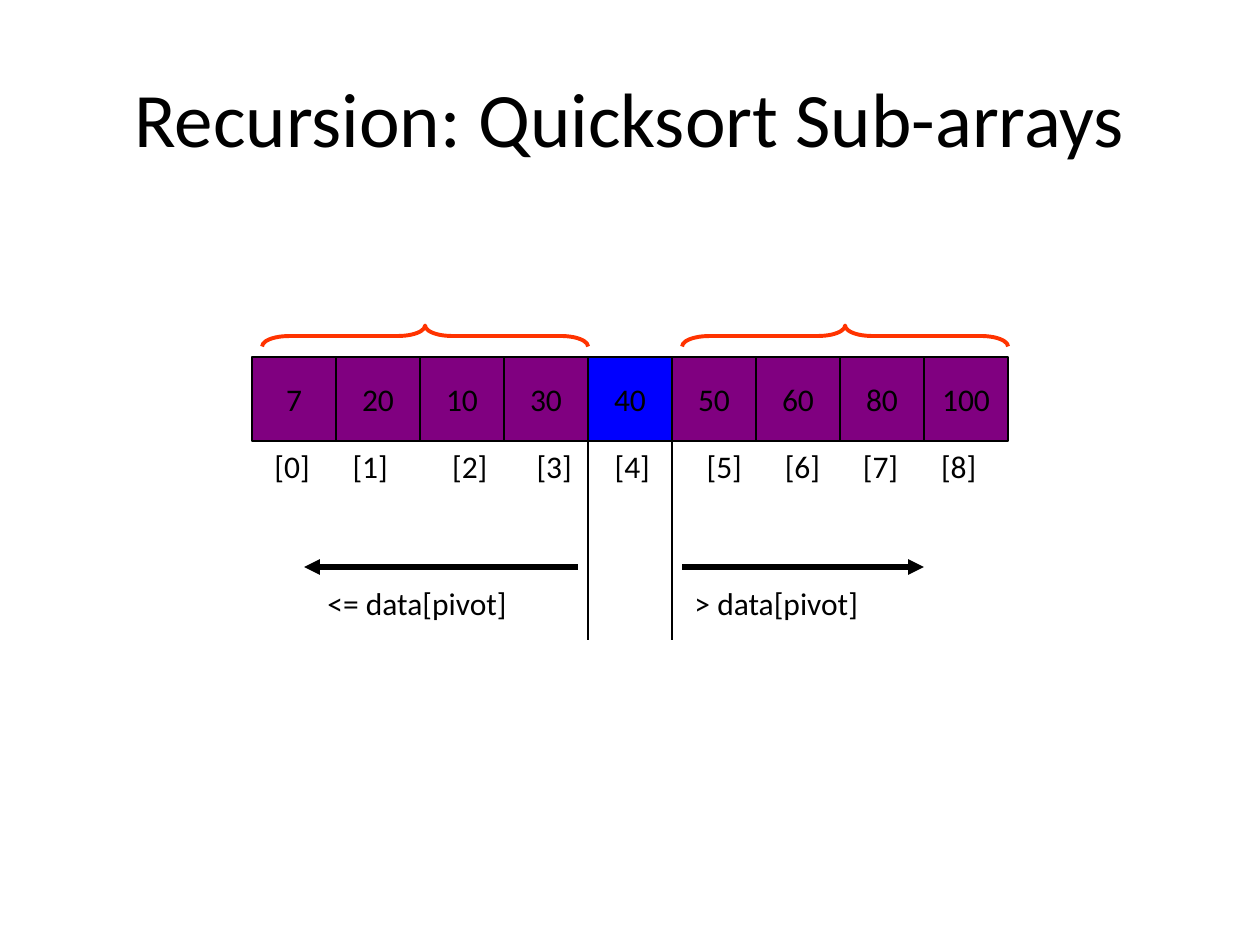
from lxml import etree
from pptx import Presentation
from pptx import util as u
from pptx.dml.color import RGBColor
from pptx.enum import shapes, text
from pptx.oxml.ns import qn

TITLE = "Recursion: Quicksort Sub-arrays"
VALUES = [7, 20, 10, 30, 40, 50, 60, 80, 100]
PIVOT = 4
INDEX_TABS = [0.62, 1.41, 2.08, 2.7, 3.43, 4.05, 4.67, 5.29]
BRACES = [(3.12, 7), (8.12, 12)]
ARROWS = [(6.88, 3.62), (8.12, 11)]
LABELS = [("<= data[pivot]", 3.75, 3.2), ("> data[pivot]", 8.12, 2.9)]
BLACK, PURPLE, BLUE, RED = "000000", "800080", "0000FF", "FF3300"
FIRST_COLUMN, ARRAY_ROW = 3, 4.25

presentation = Presentation()
presentation.slide_width, presentation.slide_height = u.Inches(10), u.Inches(7.5)
slide = presentation.slides.add_slide(presentation.slide_layouts[5])
CELL = presentation.slide_width / 15


def grid(*units):
    return [round(unit * CELL) for unit in units]


def color(value):
    return RGBColor.from_string(value)


def write(shape, content, size, align):
    frame = shape.text_frame
    frame.text = content
    paragraph = frame.paragraphs[0]
    paragraph.alignment = align
    for run in paragraph.runs:
        run.font.name = "Calibri"
        run.font.size = u.Pt(size)
        run.font.color.rgb = color(BLACK)
    return paragraph


def style_line(shape, value, width):
    shape.line.color.rgb = color(value)
    shape.line.width = u.Pt(width)


def add_label(content, *place):
    box = slide.shapes.add_textbox(*grid(*place))
    box.text_frame.word_wrap = True
    return write(box, content, 18, text.PP_ALIGN.LEFT)


def add_cell(position, value):
    cell = slide.shapes.add_shape(
        shapes.MSO_SHAPE.RECTANGLE, *grid(FIRST_COLUMN + position, ARRAY_ROW, 1, 1))
    cell.shadow.inherit = False
    cell.fill.solid()
    cell.fill.fore_color.rgb = color(BLUE if position == PIVOT else PURPLE)
    style_line(cell, BLACK, 0.75)
    cell.text_frame.word_wrap = False
    cell.text_frame.vertical_anchor = text.MSO_ANCHOR.MIDDLE
    write(cell, str(value), 18, text.PP_ALIGN.CENTER)


def add_line(start, end, width, arrow=False):
    line = slide.shapes.add_connector(
        shapes.MSO_CONNECTOR.STRAIGHT, *grid(*start, *end))
    style_line(line, BLACK, width)
    if arrow:
        etree.SubElement(line.line._get_or_add_ln(), qn("a:tailEnd"), type="triangle")
    etree.SubElement(line._element.spPr, qn("a:effectLst"))


def add_brace(start, end):
    depth, span, middle_row = 0.25, end - start, 4
    brace = slide.shapes.add_shape(
        shapes.MSO_SHAPE.LEFT_BRACE,
        *grid((start + end - depth) / 2, middle_row - span / 2, depth, span))
    brace.rotation = 90
    brace.adjustments[0] = 1.29
    brace.shadow.inherit = False
    brace.fill.background()
    style_line(brace, RED, 2.25)


title = slide.shapes.title
title.left, title.top, title.width, title.height = map(u.Inches, (0.5, 0.3, 9, 1.25))
title.text_frame.vertical_anchor = text.MSO_ANCHOR.MIDDLE
write(title, TITLE, 44, text.PP_ALIGN.CENTER)

for position, value in enumerate(VALUES):
    add_cell(position, value)
for column in (FIRST_COLUMN + PIVOT, FIRST_COLUMN + PIVOT + 1):
    add_line((column, ARRAY_ROW), (column, 7.62), 0.75)
for start, end in ARROWS:
    add_line((start, 6.75), (end, 6.75), 3, arrow=True)
for content, column, width in LABELS:
    add_label(content, column, 6.88, width, 0.75)
for start, end in BRACES:
    add_brace(start, end)

indexes = "\t".join(f"[{position}]" for position in range(len(VALUES)))
paragraph = add_label(indexes, 3.12, ARRAY_ROW + 1, 8.8, 0.6)
tab_list = etree.SubElement(paragraph._p.get_or_add_pPr(), qn("a:tabLst"))
for tab in INDEX_TABS:
    etree.SubElement(tab_list, qn("a:tab"), pos=str(u.Inches(tab)), algn="l")

presentation.save("out.pptx")
